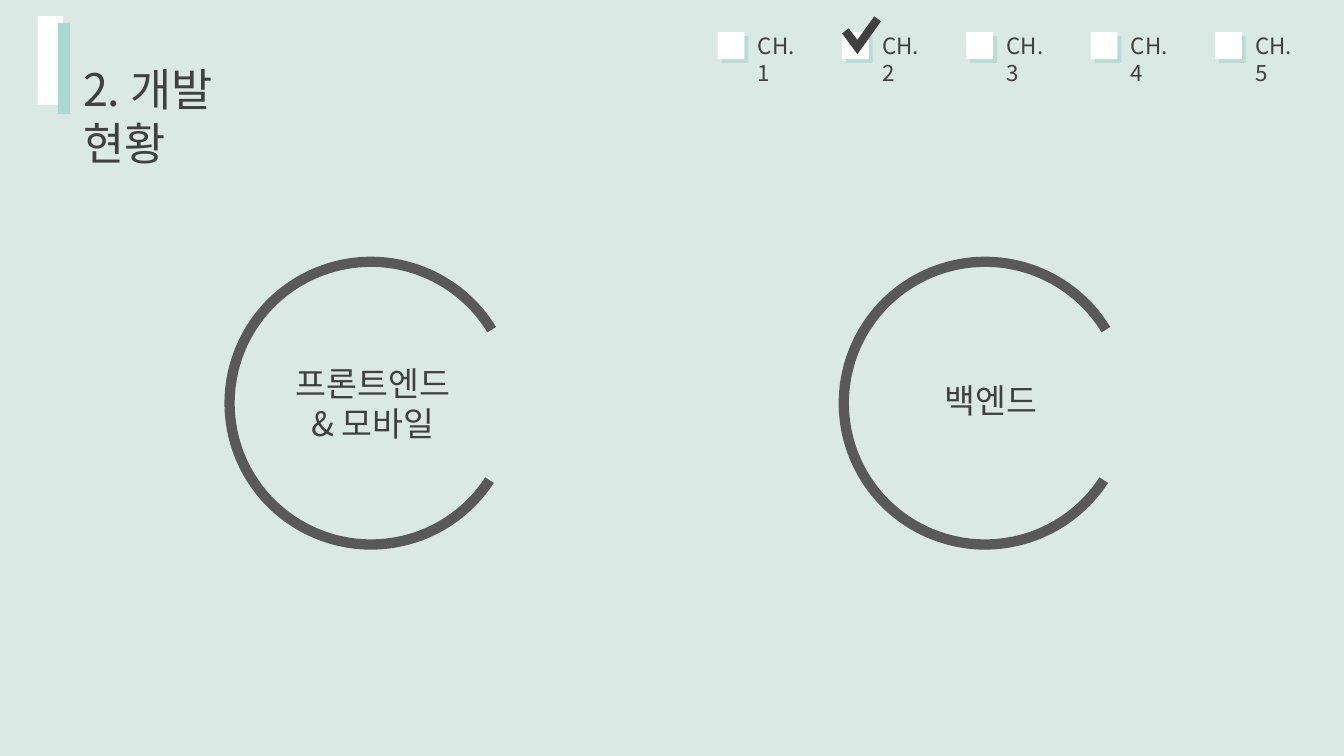
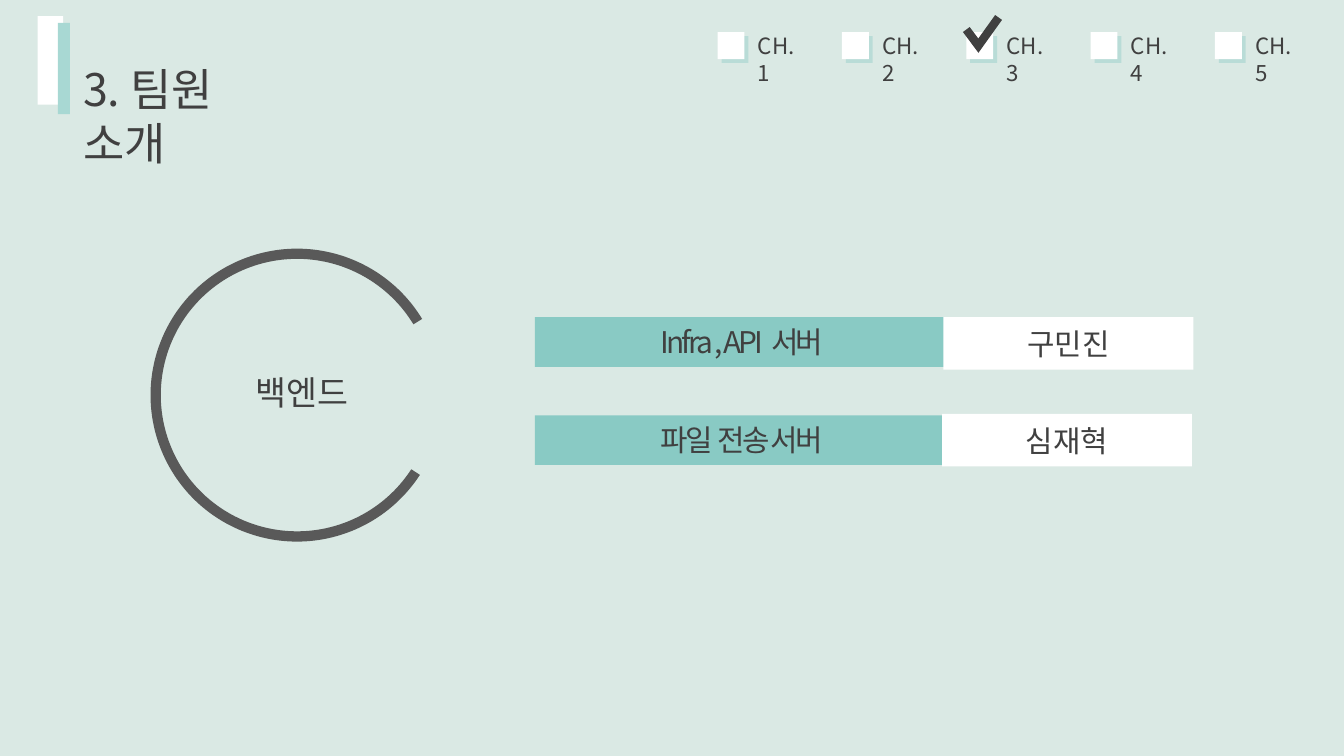
from lxml import etree
from pptx import Presentation
from pptx.dml.color import RGBColor
from pptx.enum.shapes import MSO_SHAPE as SHAPE
from pptx.enum.text import MSO_ANCHOR as ANCHOR, MSO_AUTO_SIZE as AUTO_SIZE, PP_ALIGN as ALIGN
from pptx.oxml.ns import qn
from pptx.util import Inches, Pt

FONT = "Noto Sans CJK KR"
COLORS = {
    "background": "DAE9E4",
    "text": "404040",
    "white": "FFFFFF",
    "accent": "A8D8D3",
    "role": "89CAC4",
    "ring": "595959",
}


def add_block(slide, kind, box, color):
    block = slide.shapes.add_shape(kind, *map(Inches, box))
    block.shadow.inherit = False
    block.fill.solid()
    block.fill.fore_color.rgb = RGBColor.from_string(COLORS[color])
    block.line.fill.background()
    return block


def write(shape, text, size, align=ALIGN.LEFT, anchor=ANCHOR.TOP, tracking=None):
    frame = shape.text_frame
    frame.text = text
    frame.word_wrap = True
    frame.vertical_anchor = anchor
    paragraph = frame.paragraphs[0]
    paragraph.alignment = align
    font = paragraph.runs[0].font
    font.size = Pt(size)
    font.name = FONT
    font.color.rgb = RGBColor.from_string(COLORS["text"])
    properties = paragraph.runs[0]._r.get_or_add_rPr()
    etree.SubElement(properties, qn("a:ea")).set("typeface", FONT)
    if tracking:
        properties.set("spc", str(tracking))


# Content: ring label with the ring's left and top and the label's box
pages = [
    {
        "title": "2. 개발 현황",
        "check": (6.29, 0.14),
        "rings": [
            ("프론트엔드& 모바일", (1.67, 1.91), (2.07, 2.65, 1.41, 0.71)),
            ("백엔드", (6.24, 1.91), (6.67, 2.78, 1.41, 0.4)),
        ],
        "members": [],
    },
    {
        "title": "3. 팀원 소개",
        "check": (7.19, 0.13),
        "rings": [("백엔드", (1.12, 1.85), (1.54, 2.72, 1.41, 0.4))],
        "members": [("Infra , API  서버", "구민진"), ("파일  전송 서버", "심재혁")],
    },
]

prs = Presentation()
prs.slide_width, prs.slide_height = Inches(10), Inches(10) * 9 // 16

for page in pages:
    slide = prs.slides.add_slide(prs.slide_layouts[6])
    slide.background.fill.solid()
    slide.background.fill.fore_color.rgb = RGBColor.from_string(COLORS["background"])

    # Title with its two bars
    title = slide.shapes.add_textbox(Inches(0.52), Inches(0.41), Inches(1.92), Inches(0.5))
    write(title, page["title"], 24)
    title.text_frame.margin_right = Inches(0.3)
    add_block(slide, SHAPE.RECTANGLE, (0.28, 0.12, 0.19, 0.66), "white")
    add_block(slide, SHAPE.RECTANGLE, (0.43, 0.17, 0.09, 0.68), "accent")

    # Chapter boxes
    for chapter in range(5):
        left = 5.34 + 3.7 / 4 * chapter
        box = add_block(slide, SHAPE.RECTANGLE, (left, 0.24, 0.2, 0.2), "white")
        effects = box._element.spPr.find(qn("a:effectLst"))
        shadow = etree.SubElement(effects, qn("a:outerShdw"), dist=str(Pt(3)), dir="2700000")
        tint = etree.SubElement(shadow, qn("a:srgbClr"), val=COLORS["role"])
        etree.SubElement(tint, qn("a:alpha"), val="40000")
        label = slide.shapes.add_textbox(Inches(left + 0.2), Inches(0.19), Inches(0.55), Inches(0.3))
        write(label, f"CH.{chapter + 1}", 12)

    # Check mark on the current chapter
    x, y = page["check"]
    builder = slide.shapes.build_freeform(Inches(x), Inches(y + 0.09), scale=1.0)
    builder.add_line_segments(
        [(Inches(x + 0.09), Inches(y + 0.21)), (Inches(x + 0.24), Inches(y))], close=False
    )
    check = builder.convert_to_shape()
    check.shadow.inherit = False
    check.fill.background()
    check.line.color.rgb = RGBColor.from_string(COLORS["text"])
    check.line.width = Pt(4.5)
    etree.SubElement(check.line._get_or_add_ln(), qn("a:miter"), lim="800000")

    # Role and member rows
    for row, (role, member) in enumerate(page["members"]):
        top = 2.36 + 0.73 * row
        role_bar = add_block(slide, SHAPE.RECTANGLE, (3.98, top, 3.08, 0.37), "role")
        write(role_bar, role, 16, ALIGN.CENTER, tracking=-150)
        member_box = (7.02 - 0.01 * row, top - 0.01 * row, 1.86, 0.39)
        member_bar = add_block(slide, SHAPE.RECTANGLE, member_box, "white")
        write(member_bar, member, 16, ALIGN.CENTER, ANCHOR.MIDDLE)

    # Open rings and their labels
    for name, corner, label_box in page["rings"]:
        label = slide.shapes.add_textbox(*map(Inches, label_box))
        write(label, name, 18, ALIGN.CENTER)
        label.text_frame.auto_size = AUTO_SIZE.SHAPE_TO_FIT_TEXT
        ring = add_block(slide, SHAPE.BLOCK_ARC, (*corner, 2.18, 2.18), "ring")
        ring.rotation = 45.8
        for index, value in enumerate((208.31, 169.73, 0.035)):
            ring.adjustments[index] = value

prs.save("out.pptx")
